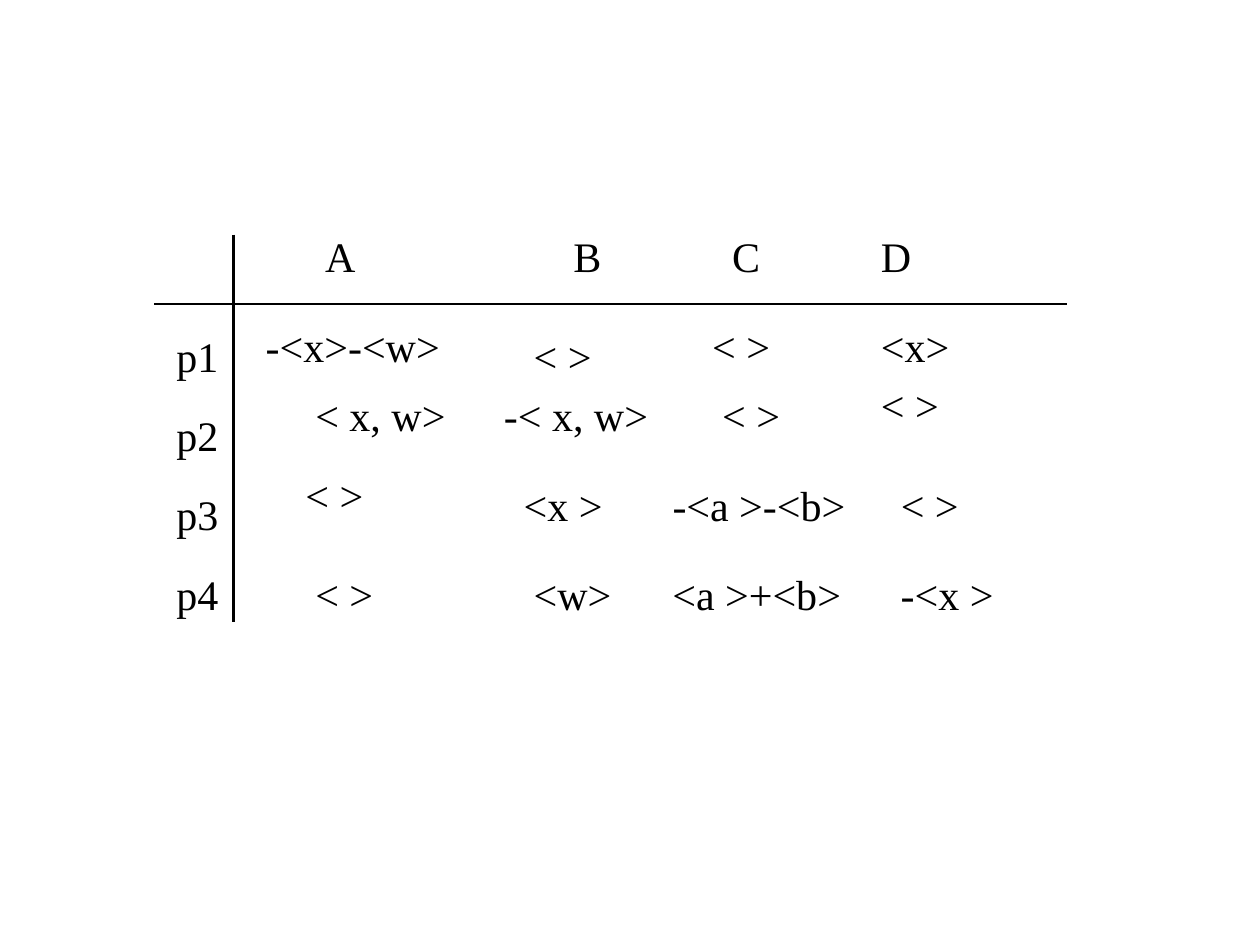
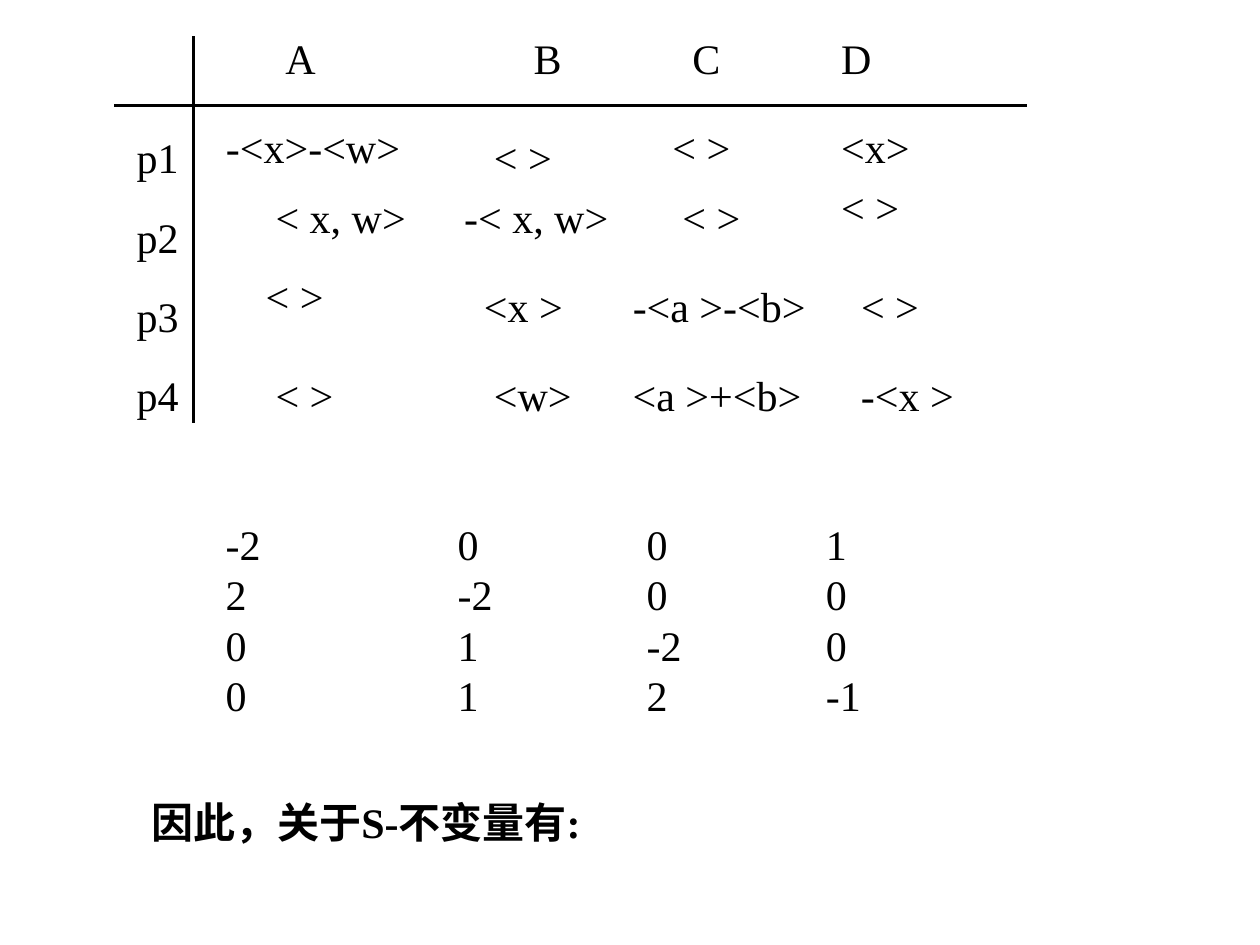
from dataclasses import dataclass

from lxml import etree
from pptx import Presentation
from pptx.dml.color import RGBColor
from pptx.enum.shapes import MSO_CONNECTOR, MSO_SHAPE
from pptx.enum.text import MSO_AUTO_SIZE
from pptx.oxml.ns import qn
from pptx.util import Pt

RECT = MSO_SHAPE.RECTANGLE
LINE = MSO_CONNECTOR.STRAIGHT
GROW = MSO_AUTO_SIZE.SHAPE_TO_FIT_TEXT

HEX = {"ink": "000000", "paper": "FFFFFF"}
FONT = "Times New Roman"
WIDE, HIGH = 720, 540
UNIT = 5.67
SIZE = 24
LEAD = 28.8
PAD_X, PAD_Y = 7.2, 3.6


@dataclass(frozen=True)
class Cell:
    text: str
    col: int
    row: int


@dataclass(frozen=True)
class Rule:
    x1: int
    y1: int
    x2: int
    y2: int


RULES = [Rule(-8, 0, 84, 0), Rule(0, -7, 0, 32)]
HEADS = [Cell(name, col, -8) for name, col in zip("ABCD", (8, 33, 49, 64))]
SIDES = [Cell(f"p{num}", -7, 8 * num - 6) for num in range(1, 5)]
BODY = [
    Cell("-<x>-<w>", 2, 1), Cell("< >", 29, 2), Cell("< >", 47, 1), Cell("<x>", 64, 1),
    Cell("< x, w>", 7, 8), Cell("-< x, w>", 26, 8), Cell("< >", 48, 8), Cell("< >", 64, 7),
    Cell("< >", 6, 16), Cell("<x >", 28, 17), Cell("-<a >-<b>", 43, 17), Cell("< >", 66, 17),
    Cell("< >", 7, 26), Cell("<w>", 29, 26), Cell("<a >+<b>", 43, 26), Cell("-<x >", 66, 26),
]
WIDTHS = {
    "A": 33, "B": 32, "C": 32, "D": 33,
    "p1": 40, "p2": 40, "p3": 40, "p4": 40,
    "< >": 49, "<x>": 55, "<w>": 60, "<x >": 61, "-<x >": 69,
    "< x, w>": 90, "-< x, w>": 98, "-<x>-<w>": 115,
    "-<a >-<b>": 115, "<a >+<b>": 113,
}
MATRIX = [(-2, 0, 0, 1), (2, -2, 0, 0), (0, 1, -2, 0), (0, 1, 2, -1)]
STOPS = (132.6, 240.6, 343)


def color(name: str) -> RGBColor:
    return RGBColor.from_string(HEX[name])


def write(shapes, text: str, *, x: float, y: float, width: float,
          bold: bool = False, tabs: tuple = ()) -> None:
    lines = text.split("\n")
    high = len(lines) * LEAD + 2 * PAD_Y
    box = shapes.add_textbox(Pt(x), Pt(y), Pt(width), Pt(high))
    frame = box.text_frame
    frame.word_wrap = False
    frame.auto_size = GROW
    frame.margin_left = frame.margin_right = Pt(PAD_X)
    frame.margin_top = frame.margin_bottom = Pt(PAD_Y)
    for num, line in enumerate(lines):
        para = frame.add_paragraph() if num else frame.paragraphs[0]
        para.line_spacing = Pt(LEAD)
        run = para.add_run()
        run.text = line
        font = run.font
        font.name, font.size, font.bold = FONT, Pt(SIZE), bold
        font.color.rgb = color("ink")
        if tabs:
            stops = etree.SubElement(para._p.get_or_add_pPr(), qn("a:tabLst"))
            for stop in tabs:
                etree.SubElement(stops, qn("a:tab"), pos=str(Pt(stop)), algn="l")


def draw_rule(shapes, rule: Rule, left: float, top: float) -> None:
    line = shapes.add_connector(
        LINE,
        Pt(left + rule.x1 * UNIT), Pt(top + rule.y1 * UNIT),
        Pt(left + rule.x2 * UNIT), Pt(top + rule.y2 * UNIT),
    )
    line.line.color.rgb = color("ink")
    line.line.width = Pt(1.5)
    etree.SubElement(line._element.spPr, qn("a:effectLst"))


def draw_grid(slide, left: float, top: float) -> None:
    shapes = slide.shapes.add_group_shape().shapes
    for rule in RULES:
        draw_rule(shapes, rule, left, top)
    for cell in HEADS + SIDES + BODY:
        write(shapes, cell.text, x=left + cell.col * UNIT,
              y=top + cell.row * UNIT, width=WIDTHS[cell.text])


def add_page(deck, left: float, top: float):
    slide = deck.slides.add_slide(deck.slide_layouts.get_by_name("Blank"))
    back = slide.shapes.add_shape(RECT, 0, 0, Pt(WIDE), Pt(HIGH))
    back.shadow.inherit = False
    back.fill.solid()
    back.fill.fore_color.rgb = color("paper")
    back.line.color.rgb = color("paper")
    back.line.width = Pt(1)
    draw_grid(slide, left, top)
    return slide


def main() -> None:
    deck = Presentation()
    deck.slide_width, deck.slide_height = Pt(WIDE), Pt(HIGH)
    add_page(deck, 133.4, 173.8)
    last = add_page(deck, 110.7, 60.4)
    rows = "\n".join("\t".join(map(str, row)) for row in MATRIX)
    write(last.shapes, rows, x=121.9, y=292.6, width=385, tabs=STOPS)
    write(last.shapes, "因此，关于S-不变量有:", x=79.4, y=451.4, width=280, bold=True)
    deck.save("out.pptx")


if __name__ == "__main__":
    main()
